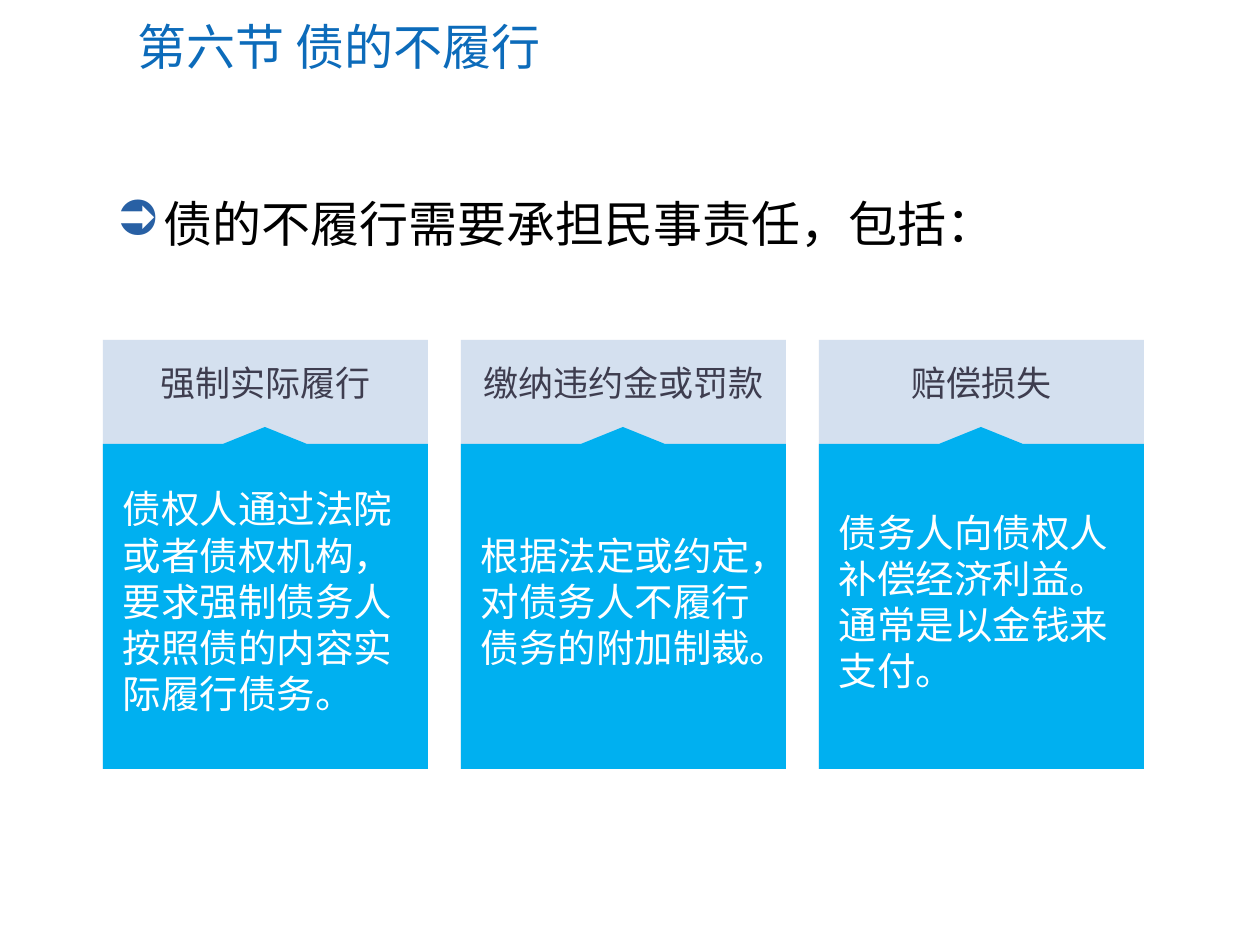
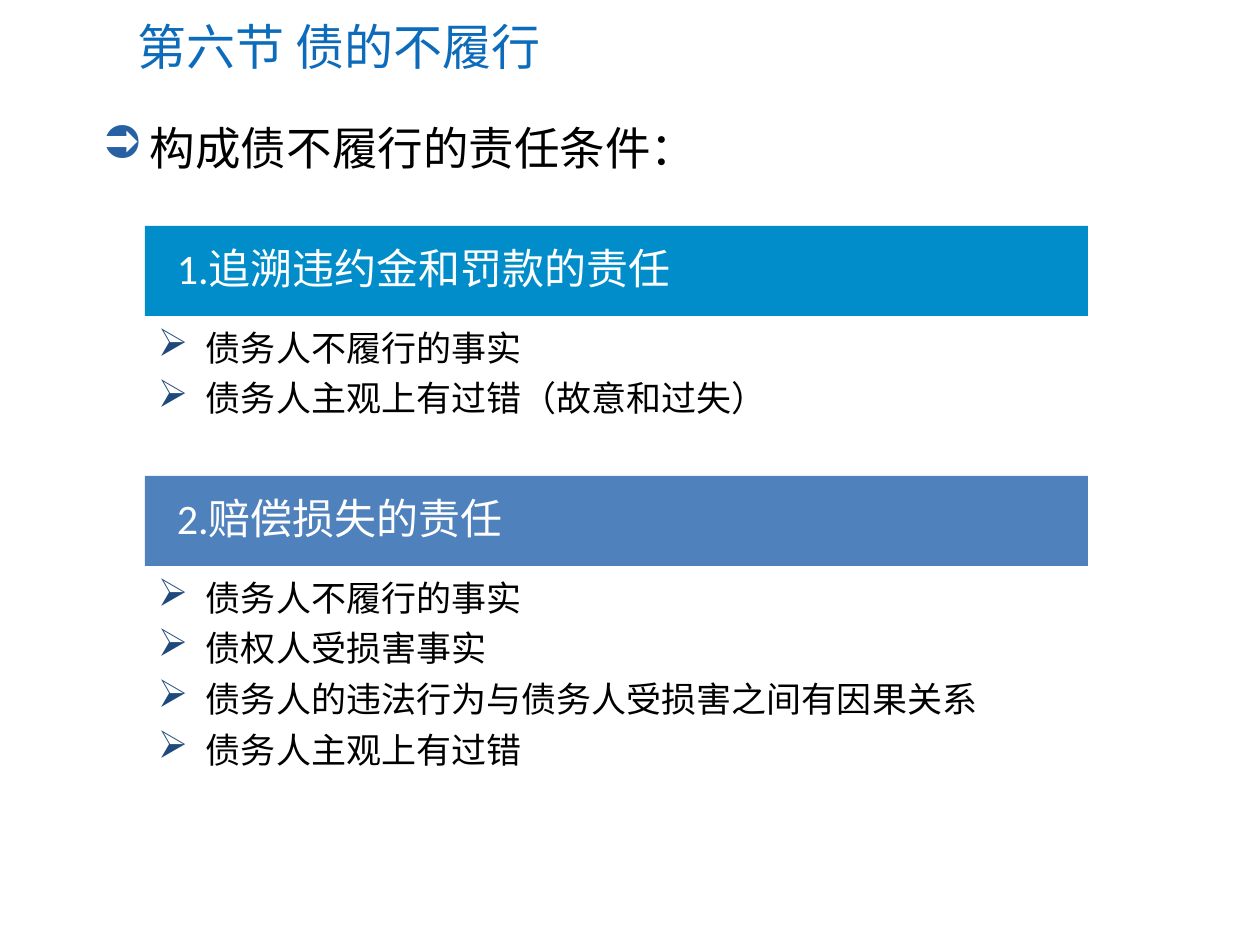
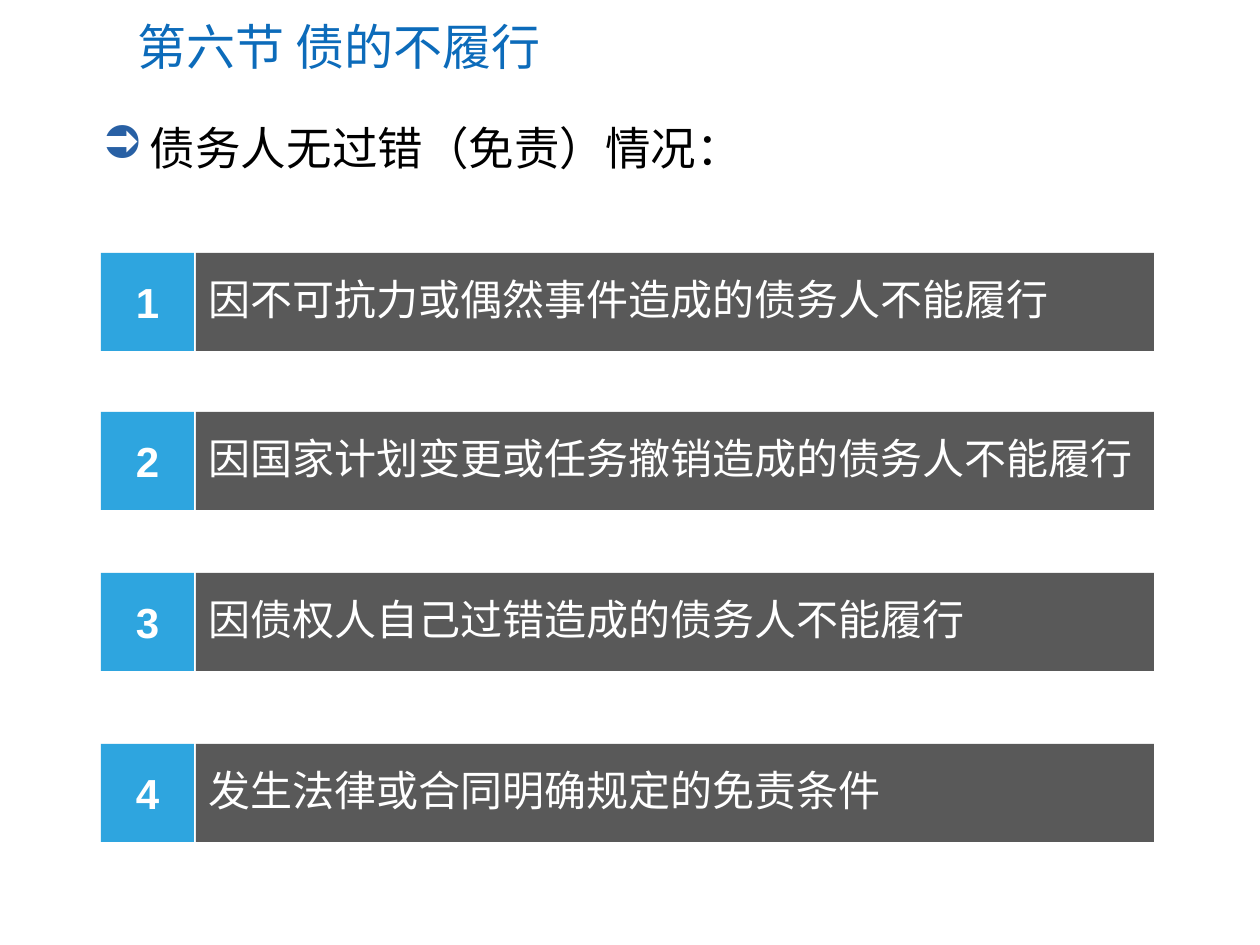
from lxml import etree
from pptx import Presentation
from pptx import util as u
from pptx.dml.color import RGBColor
from pptx.enum import lang, shapes, text
from pptx.oxml import ns

# Shared style
SCALE = 914400 / 126
TITLE = RGBColor(0x0C, 0x6B, 0xBA)
BLACK = RGBColor(0, 0, 0)
WHITE = RGBColor(255, 255, 255)
INK = RGBColor(0x3E, 0x3D, 0x4F)
PALE = RGBColor(0x95, 0xB3, 0xD7)
SKY = RGBColor(0x00, 0xB0, 0xF0)
CYAN = RGBColor(0x00, 0x8D, 0xCA)
STEEL = RGBColor(0x4F, 0x81, 0xBD)
AZURE = RGBColor(0x2E, 0xA5, 0xDF)
GREY = RGBColor(0x59, 0x59, 0x59)
BLUE = RGBColor(0x28, 0x60, 0xA4)
NAVY = RGBColor(0x1F, 0x49, 0x7D)
HAN = "Noto Sans CJK SC"
LATIN = "Calibri"
LEFT, MID = text.PP_ALIGN.LEFT, text.PP_ALIGN.CENTER
TIGHT = 0.9


def px(n):
    return u.Emu(round(n * SCALE))


def add(node, tag, **attrs):
    return etree.SubElement(node, ns.qn(tag), attrs)


class Deck:
    def __init__(self):
        self.prs = Presentation()
        self.prs.slide_width, self.prs.slide_height = px(1260), px(945)

    def start(self, title):
        self.slide = self.prs.slides.add_slide(self.prs.slide_layouts[6])
        self.label(125, 13, 1099, 73, title, 28, TITLE, mid=True)

    def put(self, shape, lines, size, color, font=LATIN, align=LEFT, bold=False,
            space=TIGHT, gap=0, mark=None, mid=True, pad=(13, 6, 13, 6)):
        frame = shape.text_frame
        frame.word_wrap = True
        frame.vertical_anchor = text.MSO_ANCHOR.MIDDLE if mid else text.MSO_ANCHOR.TOP
        (frame.margin_left, frame.margin_top,
         frame.margin_right, frame.margin_bottom) = map(px, pad)
        for i, line in enumerate(lines):
            para = frame.add_paragraph() if i else frame.paragraphs[0]
            if mark:
                self.bullet(para, *mark)
            para.alignment, para.line_spacing = align, space
            if i:
                para.space_before = u.Pt(gap)
            run = para.add_run()
            run.text = line
            run.font.name, run.font.size, run.font.bold = font, u.Pt(size), bold
            run.font.color.rgb = color
            run.font.language_id = lang.MSO_LANGUAGE_ID.SIMPLIFIED_CHINESE
            add(run._r.get_or_add_rPr(), "a:ea", typeface=HAN)

    def bullet(self, para, char, color, size):
        props = para._p.get_or_add_pPr()
        props.set("marL", str(px(48)))
        props.set("indent", str(-px(48)))
        add(add(props, "a:buClr"), "a:srgbClr", val=str(color))
        add(props, "a:buSzPct", val=str(size * 1000))
        add(props, "a:buChar", char=char)

    def label(self, x, y, w, h, line, size, color, mid=False, **style):
        box = self.slide.shapes.add_textbox(px(x), px(y), px(w), px(h))
        self.put(box, [line], size, color, mid=mid, **style)

    def lead(self, x, y, line, size):
        self.label(x, y, 1134, 74, line, size, BLACK, mark=("➲", BLUE, 100))

    def points(self, x, y, w, h, lines):
        box = self.slide.shapes.add_textbox(px(x), px(y), px(w), px(h))
        self.put(box, lines, 20, BLACK, HAN, space=1.0, gap=5, mid=False,
                 mark=("➢", NAVY, 110), pad=(13, 10, 13, 6))

    def paint(self, shape, fill):
        shape.shadow.inherit = False
        shape.fill.solid()
        shape.fill.fore_color.rgb = fill
        shape.line.fill.background()

    def rect(self, x, y, w, h, fill, alpha=None):
        box = self.slide.shapes.add_shape(
            shapes.MSO_SHAPE.RECTANGLE, px(x), px(y), px(w), px(h))
        self.paint(box, fill)
        if alpha:
            tint = box._element.spPr.find(ns.qn("a:solidFill"))[0]
            add(tint, "a:alpha", val=str(alpha * 1000))
        return box

    def callout(self, x, y, w, h, line):
        peak, edge, end = x + w // 2, y + 17, y + h
        pen = self.slide.shapes.build_freeform(peak, y, scale=SCALE)
        pen.add_line_segments([(peak + 42, edge), (x + w, edge), (x + w, end),
                               (x, end), (x, edge), (peak - 42, edge)], close=True)
        shape = pen.convert_to_shape()
        self.paint(shape, SKY)
        self.put(shape, [line], 22, WHITE, HAN, space=1.0, pad=(20, 12, 20, 6))


def main():
    deck = Deck()
    topic = "第六节 债的不履行"

    # Slide 1: three kinds of liability
    deck.start(topic)
    deck.lead(103, 194, "债的不履行需要承担民事责任，包括：", 28)
    cards = [
        ("强制实际履行", "债权人通过法院或者债权机构，要求强制债务人按照债的内容实际履行债务。"),
        ("缴纳违约金或罚款", "根据法定或约定，对债务人不履行债务的附加制裁。"),
        ("赔偿损失", "债务人向债权人补偿经济利益。通常是以金钱来支付。"),
    ]
    for i, (head, body) in enumerate(cards):
        x = 103 + 358 * i
        deck.rect(x, 340, 325, 429, PALE, alpha=40)
        deck.callout(x, 427, 325, 342, body)
        deck.label(x, 360, 325, 55, head, 20, INK, font=HAN, align=MID)

    # Slide 2: conditions of liability
    deck.start(topic)
    deck.lead(89, 120, "构成债不履行的责任条件：", 26)
    parts = [
        (226, CYAN, "1.追溯违约金和罚款的责任", 122,
         ["债务人不履行的事实", "债务人主观上有过错（故意和过失）"]),
        (476, STEEL, "2.赔偿损失的责任", 241,
         ["债务人不履行的事实", "债权人受损害事实",
          "债务人的违法行为与债务人受损害之间有因果关系", "债务人主观上有过错"]),
    ]
    for y, fill, head, h, lines in parts:
        band = deck.rect(145, y, 943, 90, fill)
        deck.put(band, [head], 24, WHITE, pad=(32, 6, 13, 6))
        deck.points(145, y + 90, 943, h, lines)

    # Slide 3: exemptions
    deck.start(topic)
    deck.lead(89, 120, "债务人无过错（免责）情况：", 26)
    rows = [
        (253, "因不可抗力或偶然事件造成的债务人不能履行"),
        (412, "因国家计划变更或任务撤销造成的债务人不能履行"),
        (573, "因债权人自己过错造成的债务人不能履行"),
        (744, "发生法律或合同明确规定的免责条件"),
    ]
    for i, (y, line) in enumerate(rows, 1):
        num = deck.rect(101, y, 93, 98, AZURE)
        deck.put(num, [str(i)], 24, WHITE, "Arial", MID, bold=True, space=1.0)
        deck.put(deck.rect(196, y, 958, 98, GREY), [line], 24, WHITE)

    deck.prs.save("out.pptx")


if __name__ == "__main__":
    main()
